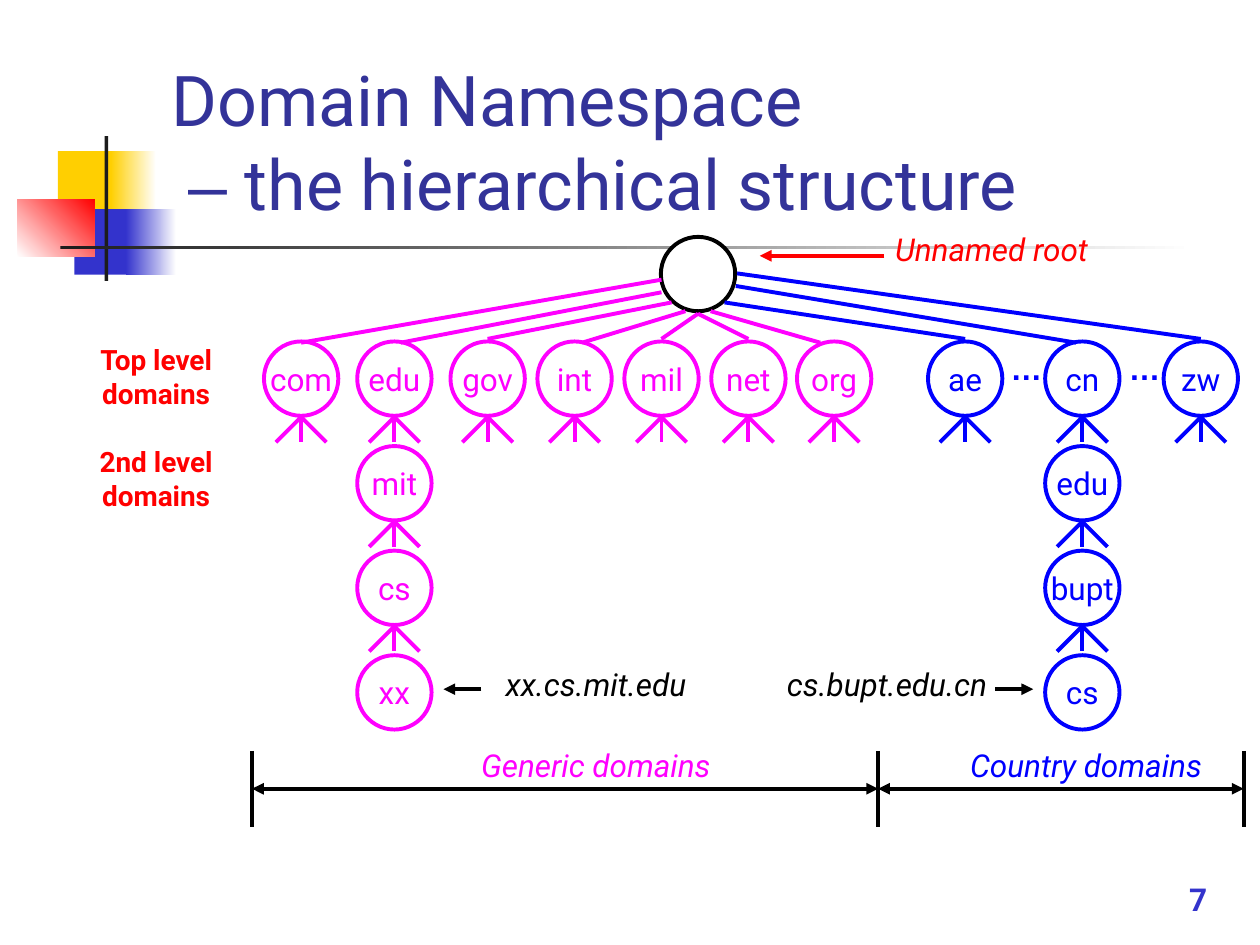
from pptx import Presentation
from pptx.dml.color import RGBColor
from pptx.enum.shapes import MSO_CONNECTOR, MSO_SHAPE
from pptx.enum.text import MSO_ANCHOR, MSO_AUTO_SIZE, PP_ALIGN
from pptx.oxml import parse_xml
from pptx.oxml.ns import nsdecls
from pptx.util import Inches, Pt

RECT, OVAL = MSO_SHAPE.RECTANGLE, MSO_SHAPE.OVAL
STRAIGHT = MSO_CONNECTOR.STRAIGHT
TOP, MIDDLE, BOTTOM = MSO_ANCHOR.TOP, MSO_ANCHOR.MIDDLE, MSO_ANCHOR.BOTTOM
LEFT, CENTER, RIGHT = PP_ALIGN.LEFT, PP_ALIGN.CENTER, PP_ALIGN.RIGHT
NOFIT = MSO_AUTO_SIZE.NONE

HUES = {
    "white": "FFFFFF", "black": "000000", "dark": "1C1C1C",
    "gold": "FFCF01", "navy": "3333CC", "title": "333399",
    "red": "FF0000", "pink": "FF00FF", "blue": "0000FF",
}
SIZE = 0.59
HALF = SIZE / 2
STEP = 0.83

GENERIC = [
    ("com", 0.39, (3.25, 0.34), (0.39, 0.84)),
    ("edu", 1.13, (3.25, 0.44), (1.18, 0.84)),
    ("gov", 1.87, (3.33, 0.52), (1.87, 0.81)),
    ("int", 2.56, (3.44, 0.59), (2.62, 0.84)),
    ("mil", 3.25, (3.54, 0.61), (3.25, 0.81)),
    ("net", 3.94, (3.54, 0.61), (3.94, 0.81)),
    ("org", 4.62, (3.64, 0.59), (4.51, 0.84)),
]
COUNTRY = [
    ("ae", 5.66, (3.75, 0.52), (5.66, 0.81)),
    ("cn", 6.59, (3.84, 0.39), (6.54, 0.84)),
    ("zw", 7.53, (3.85, 0.29), (7.53, 0.81)),
]
CHAINS = {"edu": ["mit", "cs", "xx"], "cn": ["edu", "bupt", "cs"]}


def color(name):
    return RGBColor.from_string(HUES[name])


def style(run, hue, **look):
    values = {"name": "Roboto", "size": Pt(18), **look}
    for key, value in values.items():
        setattr(run.font, key, value)
    run.font.color.rgb = color(hue)


def label(slide, x, y, w, h, words, hue, align=CENTER, anchor=TOP, **look):
    frame = slide.shapes.add_textbox(*map(Inches, (x, y, w, h))).text_frame
    frame.word_wrap = True
    frame.vertical_anchor = anchor
    para = frame.paragraphs[0]
    para.alignment = align
    run = para.add_run()
    run.text = words
    style(run, hue, **look)


def line(slide, start, end, hue, head=False, tail=False):
    link = slide.shapes.add_connector(STRAIGHT, *map(Inches, (*start, *end)))
    link.line.width = Pt(2.25)
    link.line.color.rgb = color(hue)
    stroke = link.line._get_or_add_ln()
    for tag, shown in (("headEnd", head), ("tailEnd", tail)):
        if shown:
            stroke.append(parse_xml(f'<a:{tag} {nsdecls("a")} type="triangle"/>'))
    link._element.spPr.append(parse_xml(f'<a:effectLst {nsdecls("a")}/>'))


def block(slide, x, y, w, h, first, last=None, angle=0):
    shape = slide.shapes.add_shape(RECT, *map(Inches, (x, y, w, h)))
    shape.shadow.inherit = False
    shape.line.fill.background()
    if last is None:
        shape.fill.solid()
        shape.fill.fore_color.rgb = color(first)
        return
    shape.fill.gradient()
    shape.fill.gradient_angle = angle
    for stop, hue, place in zip(shape.fill.gradient_stops, (first, last), (0, 1)):
        stop.color.rgb = color(hue)
        stop.position = place


def node(slide, mid, top, words, hue):
    shape = slide.shapes.add_shape(
        OVAL, *map(Inches, (mid - HALF, top, SIZE, SIZE)))
    shape.shadow.inherit = False
    shape.fill.solid()
    shape.fill.fore_color.rgb = color("white")
    shape.line.color.rgb = color(hue)
    shape.line.width = Pt(2.25)
    if words:
        frame = shape.text_frame
        frame.word_wrap = False
        frame.vertical_anchor = MIDDLE
        para = frame.paragraphs[0]
        para.alignment = CENTER
        run = para.add_run()
        run.text = words
        style(run, hue)


def twigs(slide, mid, top, hue):
    for shift in (-0.2, 0, 0.2):
        line(slide, (mid, top), (mid + shift, top + 0.2), hue)


def motif(slide, x, y):
    block(slide, x + 0.32, y + 0.12, 0.48, 0.52, "gold")
    block(slide, x + 0.74, y + 0.12, 0.36, 0.52, "gold", "white")
    block(slide, x + 0.45, y + 0.58, 0.46, 0.52, "navy")
    block(slide, x + 0.86, y + 0.58, 0.4, 0.52, "navy", "white")
    block(slide, x, y + 0.5, 0.61, 0.46, "white", "red", 45)
    block(slide, x + 0.69, y, 0.03, 1.15, "dark")
    block(slide, x + 0.34, y + 0.87, 9, 0.03, "dark", "white")


def heading(slide, x, y, w, h):
    title = slide.shapes.title
    spots = {"left": x, "top": y, "width": w, "height": h}
    for key, value in spots.items():
        setattr(title, key, Inches(value))
    frame = title.text_frame
    frame.auto_size = NOFIT
    frame.vertical_anchor = BOTTOM
    para = frame.paragraphs[0]
    para.alignment = LEFT
    parts = [("Domain Namespace\v ", "Roboto"), ("–", "Arial"),
             (" the hierarchical structure", "Roboto")]
    for words, font in parts:
        for count, piece in enumerate(words.split("\v")):
            if count:
                para.add_line_break()
            run = para.add_run()
            run.text = piece
            style(run, "title", name=font, size=Pt(40))


def tree(slide, x, y):
    node(slide, x + 3.54, y, "", "black")
    for group, hue in ((GENERIC, "pink"), (COUNTRY, "blue")):
        for name, mid, start, end in group:
            names = [name, *CHAINS.get(name, [])]
            for level, words in enumerate(names):
                top = y + STEP * (level + 1)
                node(slide, x + mid, top, words, hue)
                if level == 0 or level < len(names) - 1:
                    twigs(slide, x + mid, top + 0.6, hue)
            line(slide, (x + start[0], y + start[1]),
                 (x + end[0], y + end[1]), hue)
    for left in (5.9, 6.84):
        label(slide, x + left, y + 0.84, 0.49, 0.4, "…", "blue",
              name="Arial", bold=True)


def notes(slide, x, y):
    for top, words in ((0.89, "Top level domains"), (1.7, "2nd level domains")):
        label(slide, x, y + top, 1.26, 0.64, words, "red", size=Pt(16), bold=True)
    calls = [
        (5.77, 0, 2.98, "Unnamed root", "red", 6.41, 5.42, 0.25),
        (3.16, 3.45, 1.92, "xx.cs.mit.edu", "black", 3.21, 2.91, 3.69),
        (5.47, 3.45, 1.92, "cs.bupt.edu.cn", "black", 7.29, 7.59, 3.69),
    ]
    for left, top, wide, words, hue, start, end, level in calls:
        label(slide, x + left, y + top, wide, 0.4, words, hue, italic=True)
        line(slide, (x + start, y + level), (x + end, y + level), hue, tail=True)


def scale(slide, x, y):
    marks = [x, x + 4.97, x + 7.87]
    for mark in marks:
        line(slide, (mark, y + 0.09), (mark, y + 0.69), "black")
    for start, end in zip(marks, marks[1:]):
        line(slide, (start, y + 0.39), (end, y + 0.39), "black", True, True)
    for left, words, hue in ((1.13, "Generic domains", "pink"),
                             (5.02, "Country domains", "blue")):
        label(slide, x + left, y, 3.2, 0.4, words, hue, italic=True)


deck = Presentation()
deck.slide_width, deck.slide_height = Inches(10), Inches(7.5)
page = deck.slides.add_slide(deck.slide_layouts[5])
motif(page, 0.14, 1.08)
heading(page, 1.26, 0.23, 8.52, 1.6)
tree(page, 2, 1.88)
notes(page, 0.61, 1.78)
scale(page, 2, 5.87)
label(page, 6.51, 6.83, 3.17, 0.5, "7", "navy", RIGHT, BOTTOM, bold=True)
deck.save("out.pptx")
